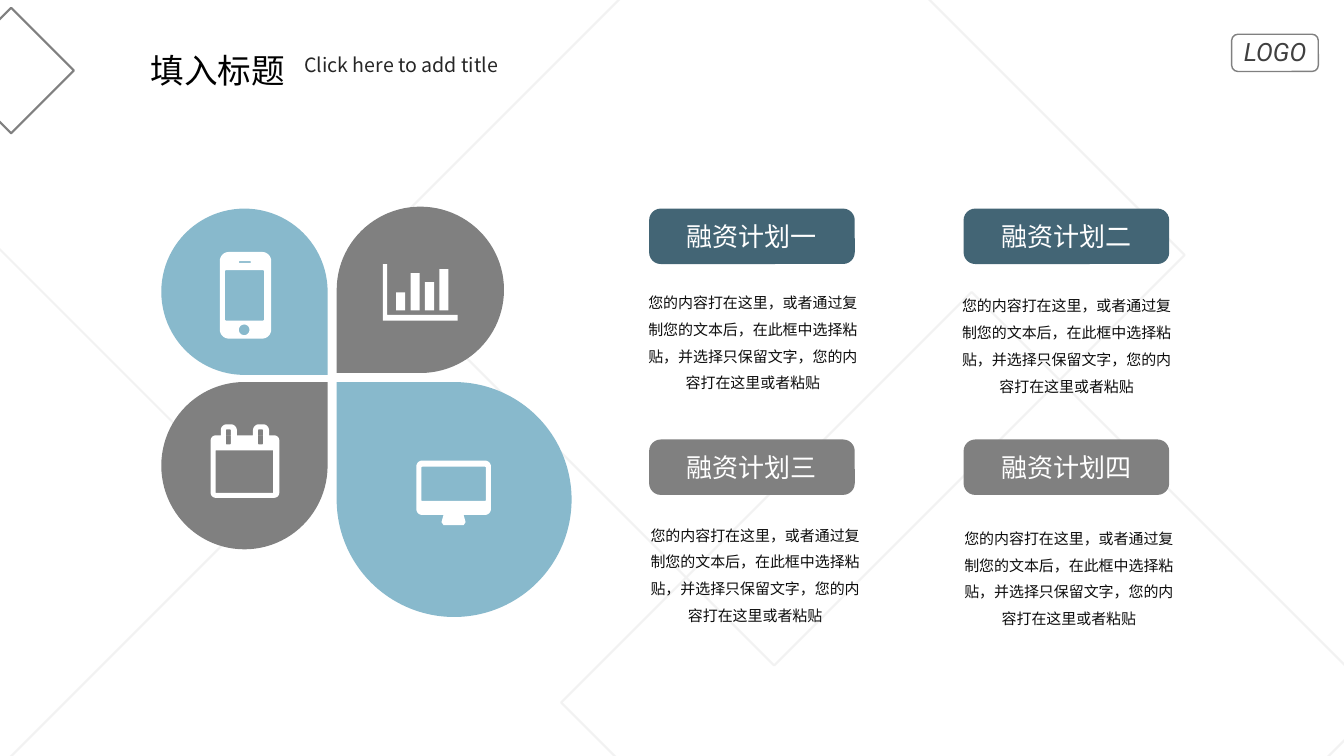
from math import cos, pi, sin

from lxml import etree
from pptx import Presentation
from pptx.dml.color import RGBColor
from pptx.enum.shapes import MSO_SHAPE
from pptx.enum.text import MSO_ANCHOR, MSO_AUTO_SIZE, PP_ALIGN
from pptx.oxml.ns import qn
from pptx.util import Pt

RECTANGLE = MSO_SHAPE.RECTANGLE
ROUNDED = MSO_SHAPE.ROUNDED_RECTANGLE
TEARDROP = MSO_SHAPE.TEAR
TOP, MIDDLE = MSO_ANCHOR.TOP, MSO_ANCHOR.MIDDLE
LEFT, CENTER, RIGHT = PP_ALIGN.LEFT, PP_ALIGN.CENTER, PP_ALIGN.RIGHT
NO_AUTOSIZE = MSO_AUTO_SIZE.NONE

CJK, LATIN = "Noto Sans CJK SC", "Roboto"
WHITE, GRAY, SKY, SLATE, PALE = "FFFFFF", "808080", "88B9CC", "436575", "F2F2F2"
PLANS = ["融资计划一", "融资计划二", "融资计划三", "融资计划四"]
DESCRIPTION = ("您的内容打在这里，或者通过复制您的文本后，在此框中选择粘贴，"
               "并选择只保留文字，您的内容打在这里或者粘贴")


def color(value):
    return RGBColor.from_string(value)


def write_text(holder, text, size=12, font=CJK, ink="000000", align=CENTER,
               anchor=TOP, insets=(7.2, 3.6), spacing=1.0, italic=False):
    frame = holder.text_frame
    frame.word_wrap = True
    frame.auto_size = NO_AUTOSIZE
    frame.vertical_anchor = anchor
    frame.margin_left = frame.margin_right = Pt(insets[0])
    frame.margin_top = frame.margin_bottom = Pt(insets[1])
    paragraph = frame.paragraphs[0]
    paragraph.alignment = align
    paragraph.line_spacing = spacing
    run = paragraph.add_run()
    run.text = text
    run.font.size = Pt(size)
    run.font.italic = italic
    run.font.color.rgb = color(ink)
    run.font.name = font
    east_asian = etree.SubElement(run._r.get_or_add_rPr(), qn("a:ea"))
    east_asian.set("typeface", font)


def add_label(slide, box, text, **text_format):
    label = slide.shapes.add_textbox(*map(Pt, box))
    write_text(label, text, **text_format)


def paint(shape, fill=None, line=None, weight=1.5):
    shape.shadow.inherit = False
    if fill:
        shape.fill.solid()
        shape.fill.fore_color.rgb = color(fill)
    else:
        shape.fill.background()
    if line:
        shape.line.color.rgb = color(line)
        shape.line.width = Pt(weight)
    else:
        shape.line.fill.background()


def add_preset(slide, kind, box, rotation=0, **style):
    shape = slide.shapes.add_shape(kind, *map(Pt, box))
    shape.rotation = rotation
    paint(shape, **style)
    return shape


def rounded(left, top, width, height, radius=0, bottom_radius=None):
    low = radius if bottom_radius is None else bottom_radius
    right, bottom = left + width, top + height
    corners = [
        (right - low, bottom - low, low),
        (left + low, bottom - low, low),
        (left + radius, top + radius, radius),
        (right - radius, top + radius, radius),
    ]
    points = []
    for quarter, (x, y, r) in enumerate(corners):
        steps = 8 if r else 0
        for step in range(steps + 1):
            angle = pi / 2 * (quarter + step / max(steps, 1))
            points.append((x + r * cos(angle), y + r * sin(angle)))
    return points


def add_icon(slide, contours):
    outlines = [[(Pt(x), Pt(y)) for x, y in contour] for contour in contours]
    builder = slide.shapes.build_freeform(*outlines[0][0])
    for number, outline in enumerate(outlines):
        if number:
            builder.move_to(*outline[0])
        builder.add_line_segments(outline[1:], close=True)
    paint(builder.convert_to_shape(), fill=WHITE)


def calendar():
    contours = [rounded(150.5, 311, 49, 44.6, 3.6), rounded(154.1, 321.8, 41, 30.2)]
    for left in (157.7, 180.7):
        contours.append(rounded(left, 303.1, 11.5, 7.9, 4.3, 0))
        contours.append(rounded(left + 3.6, 306.7, 3.6, 10.8, 0.7))
    return contours


def monitor():
    stand = [(316.8, 367.9), (331.2, 367.9), (332.6, 373),
             (331.2, 375.1), (316.8, 375.1), (315.4, 373)]
    return [rounded(297.4, 329, 53.3, 38.9, 4.3),
            rounded(301, 333.4, 46.1, 24.5, 0.7), stand]


def bar_graph():
    axes = [(273.6, 188.6), (276.5, 188.6), (276.5, 224.9),
            (326.9, 224.9), (326.9, 229), (273.6, 229)]
    bars = [rounded(283 + 10.3 * i, top, 6.5, 221.8 - top)
            for i, top in enumerate((208.8, 195.1, 201.6, 192.2))]
    return [axes, *bars]


def phone():
    return [rounded(157, 180, 36.7, 61.9, 6.5),
            rounded(160.6, 193, 28.1, 36, 1),
            rounded(170.6, 186.5, 8.6, 1.4, 0.7),
            rounded(170.6, 231.8, 7.6, 7.6, 3.8)]


def add_backdrop(slide):
    diamonds = [
        (-175.7, 213.8, 298.8, PALE),
        (345.6, -25.2, 414.7, PALE),
        (486.7, 294.5, 414.7, PALE),
        (-23.8, 18.7, 63.4, GRAY),
    ]
    for left, top, side, line in diamonds:
        add_preset(slide, RECTANGLE, (left, top, side, side), 45, line=line)
    add_preset(slide, ROUNDED, (879.8, 24.5, 61.9, 26.6), line=GRAY, weight=1)
    add_label(slide, (873.4, 22.3, 74.9, 28.8), "LOGO",
              size=18, font=LATIN, ink="404040", italic=True)


def add_heading(slide):
    title = slide.shapes.title
    title.left, title.top, title.width, title.height = map(Pt, (61.9, 31.7, 149, 36))
    write_text(title, "填入标题", size=24, align=RIGHT)
    add_label(slide, (210.2, 31, 153.4, 48.2), "Click here to add title",
              size=14, ink="262626", align=LEFT, spacing=1.2)


def add_petals(slide):
    petals = [
        ((115.2, 272.9, 118.8, 119.5), 0, GRAY, calendar()),
        ((240.5, 272.9, 167.8, 167.8), 270, SKY, monitor()),
        ((240.5, 147.6, 119.5, 118.8), 180, GRAY, bar_graph()),
        ((115.2, 149, 118.8, 118.8), 90, SKY, phone()),
    ]
    for box, rotation, fill, icon in petals:
        add_preset(slide, TEARDROP, box, rotation, fill=fill)
        add_icon(slide, icon)


def add_plans(slide):
    for index, plan in enumerate(PLANS):
        row, column = divmod(index, 2)
        button = add_preset(
            slide, ROUNDED, (463.7 + 224.6 * column, 149 + 164.9 * row, 146.9, 39.6),
            fill=(SLATE, GRAY)[row])
        button.adjustments[0] = 0.21
        write_text(button, plan, size=18.6, ink=WHITE, anchor=MIDDLE, insets=(0, 0))
        description_box = (452.9 + 224.1 * column + 1.6 * row,
                           200.9 + 2.2 * column + 166.3 * row, 169.9, 82.1)
        add_label(slide, description_box, DESCRIPTION,
                  size=10.7, ink="0D0D0D", insets=(5, 2.2), spacing=1.5)


def main():
    deck = Presentation()
    deck.slide_width, deck.slide_height = Pt(960), Pt(540)
    slide = deck.slides.add_slide(deck.slide_layouts[5])
    add_backdrop(slide)
    add_heading(slide)
    add_petals(slide)
    add_plans(slide)
    deck.save("out.pptx")


if __name__ == "__main__":
    main()
